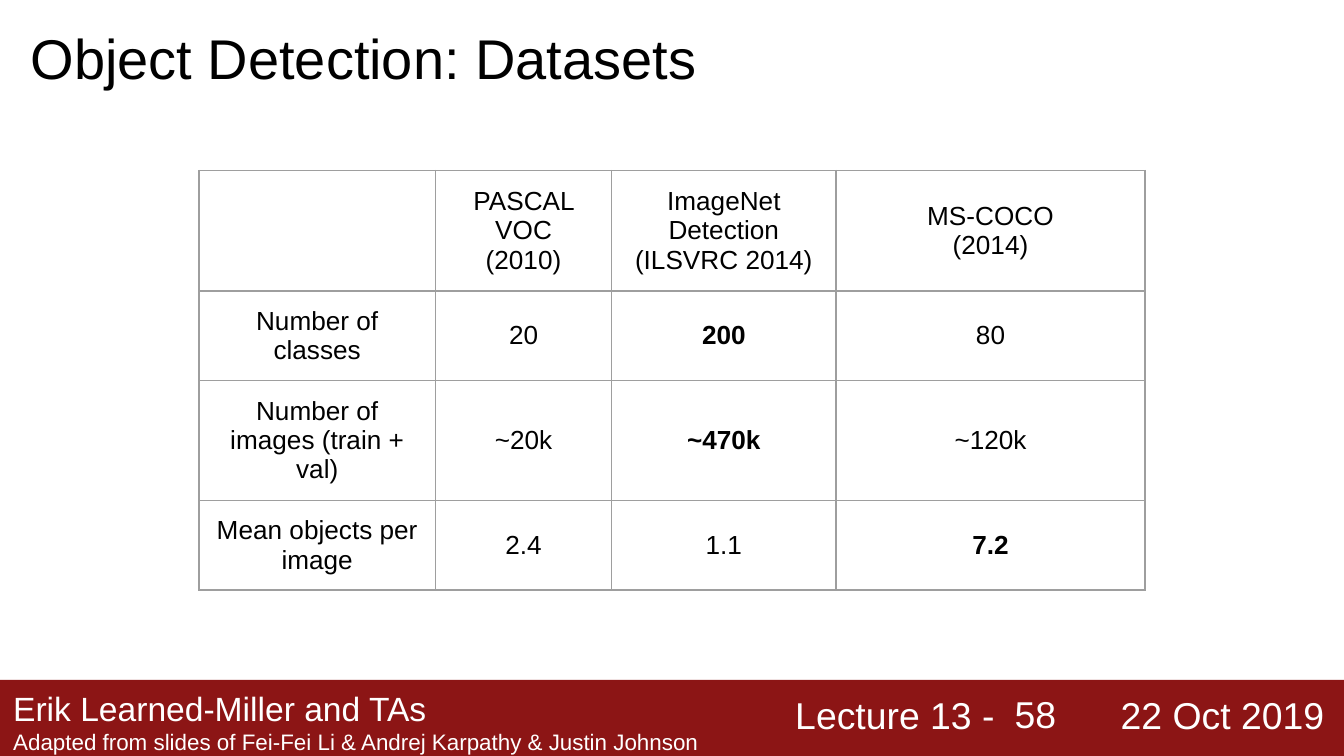
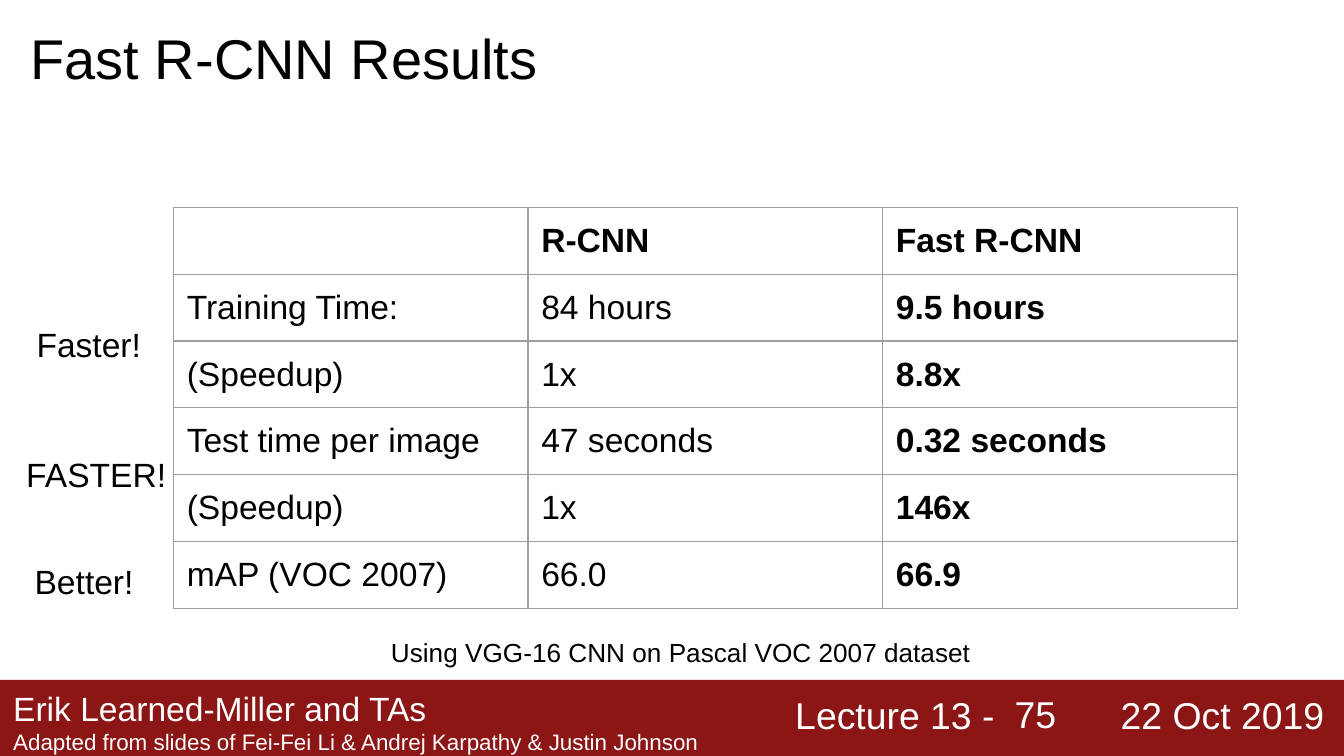
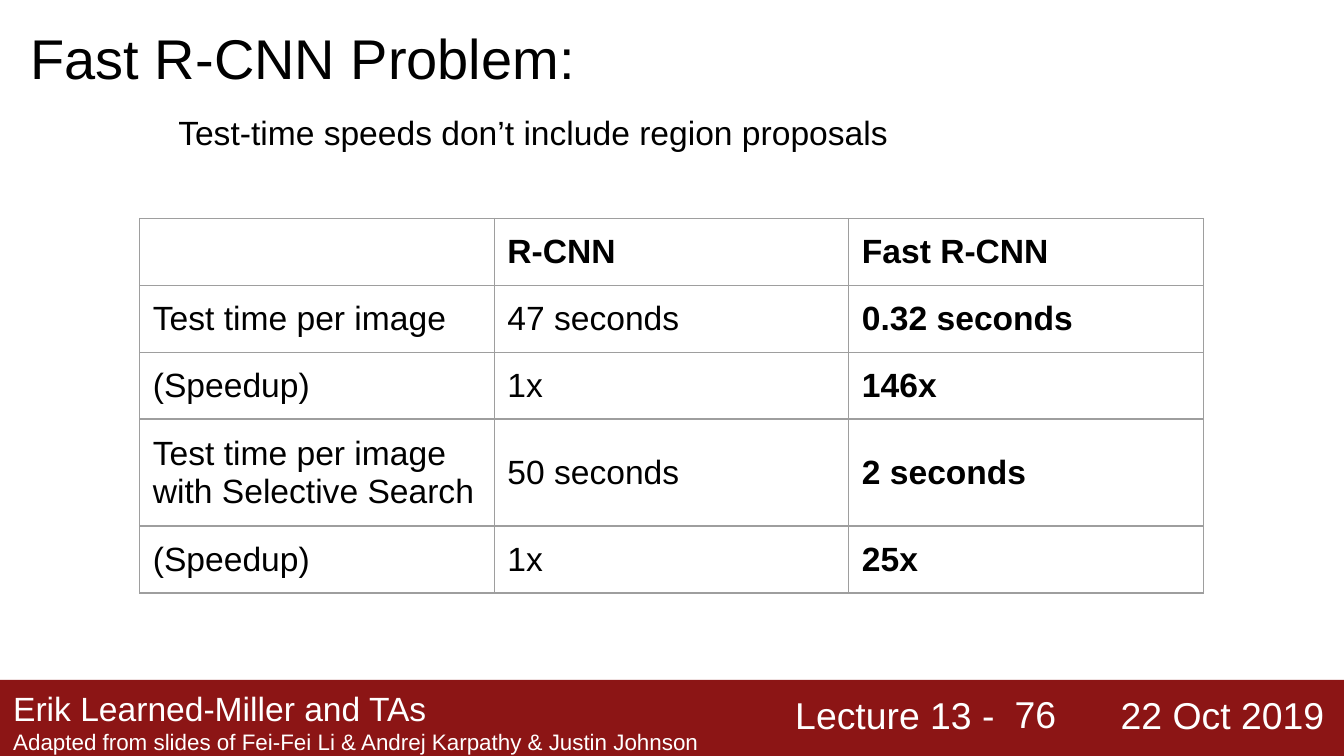
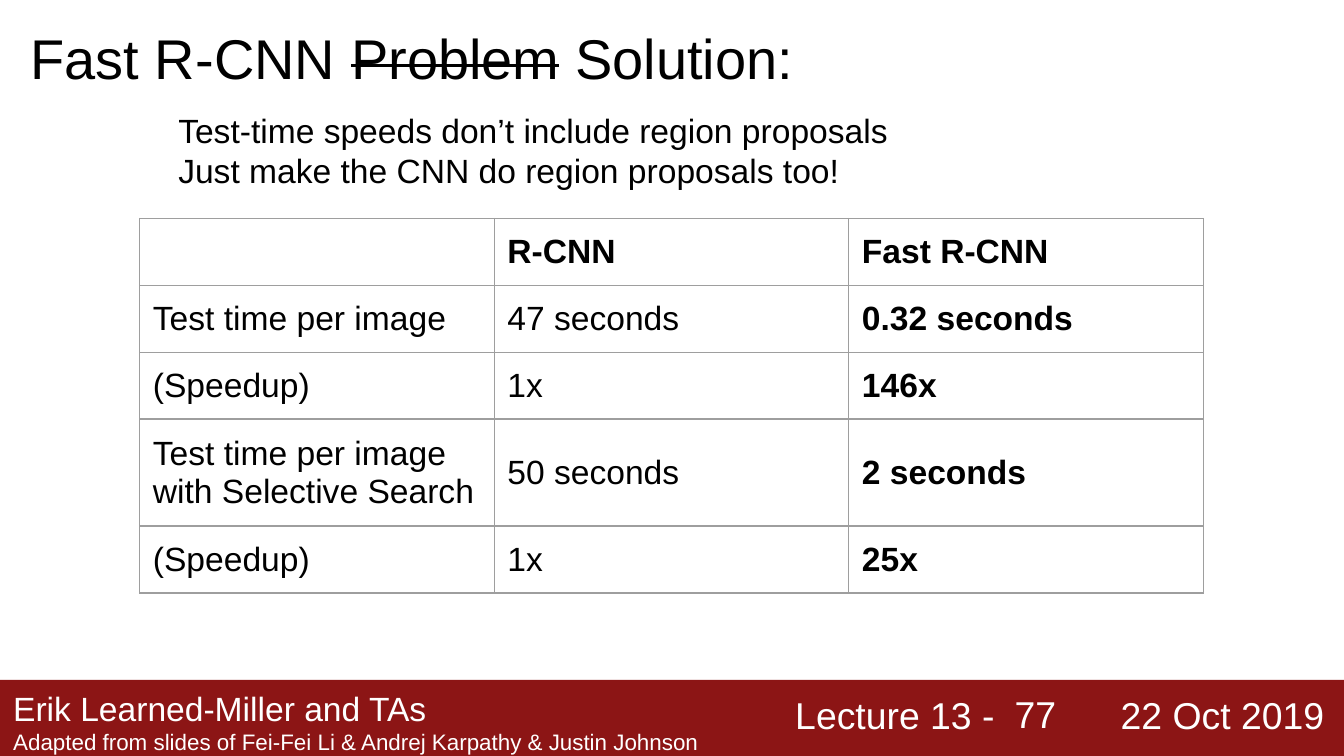
from copy import deepcopy

from lxml.etree import SubElement
from pptx import Presentation
from pptx.dml.color import RGBColor
from pptx.enum.shapes import MSO_SHAPE
from pptx.enum.text import MSO_ANCHOR, MSO_AUTO_SIZE, PP_ALIGN
from pptx.oxml.ns import qn
from pptx.util import Cm, Pt

COLOURS = {"paper": "FFFFFF", "ink": "000000", "band": "8C1515", "grid": "9E9E9E"}
FONT = "Arial"
INSET = Cm(0.25)
PAGE_WIDTH, PAGE_HEIGHT = 25.4, 14.29
BAND_TOP = 12.85
TITLE_BOX = (0.33, 0.2, 21.39, 1.75)
SPEED_COLUMNS = [6.7] * 3
SPEED_ROW = 1.22

DATASET_ROWS = [
    ["", "PASCAL VOC\v(2010)", "ImageNet Detection\n(ILSVRC 2014)", "MS-COCO\v(2014)"],
    ["Number of classes", "20", "200", "80"],
    ["Number of images (train + val)", "~20k", "~470k", "~120k"],
    ["Mean objects per image", "2.4", "1.1", "7.2"],
]
DATASET_WINNERS = {(1, 2), (2, 2), (3, 3)}

SPEED_HEADER = ["", "R-CNN", "Fast R-CNN"]
TEST_TIME_ROWS = [
    ["Test time per image", "47 seconds", "0.32 seconds"],
    ["(Speedup)", "1x", "146x"],
]
RESULT_ROWS = [
    SPEED_HEADER,
    ["Training Time:", "84 hours", "9.5 hours"],
    ["(Speedup)", "1x", "8.8x"],
    *TEST_TIME_ROWS,
    ["mAP (VOC 2007)", "66.0", "66.9"],
]
PROPOSAL_ROWS = [
    SPEED_HEADER,
    *TEST_TIME_ROWS,
    ["Test time per image\nwith Selective Search", "50 seconds", "2 seconds"],
    ["(Speedup)", "1x", "25x"],
]


def colour(name):
    return RGBColor.from_string(COLOURS[name])


def add_span(para, text, size, ink="ink", bold=False, strike=False):
    span = para.add_run()
    span.text = text
    span.font.name = FONT
    span.font.size = Pt(size)
    span.font.bold = bold
    span.font.color.rgb = colour(ink)
    if strike:
        span.font._element.set("strike", "sngStrike")
    return span


def break_line(para, span):
    """Add a line break that keeps the format of the span before it."""
    para.add_line_break()
    para._p[-1].append(deepcopy(span.font._element))


def write(frame, text, size, align=PP_ALIGN.LEFT, ink="ink", bold=False):
    """Fill a frame; a newline starts a paragraph, a vertical tab a line."""
    for number, block in enumerate(text.split("\n")):
        para = frame.add_paragraph() if number else frame.paragraphs[0]
        para.alignment = align
        span = None
        for line in block.split("\v"):
            if span:
                break_line(para, span)
            span = add_span(para, line, size, ink, bold)


def set_insets(target):
    target.margin_left = target.margin_right = INSET
    target.margin_top = target.margin_bottom = INSET


def add_text_box(page, box, anchor=MSO_ANCHOR.TOP):
    frame = page.shapes.add_textbox(*map(Cm, box)).text_frame
    frame.word_wrap = True
    frame.vertical_anchor = anchor
    set_insets(frame)
    return frame


def add_title(page, spans):
    """Place the title; spans are (text, struck through) pairs."""
    title = page.shapes.title
    title.left, title.top, title.width, title.height = map(Cm, TITLE_BOX)
    frame = title.text_frame
    frame.auto_size = MSO_AUTO_SIZE.NONE
    frame.vertical_anchor = MSO_ANCHOR.TOP
    set_insets(frame)
    para = frame.paragraphs[0]
    para.alignment = PP_ALIGN.LEFT
    for text, strike in spans:
        add_span(para, text, 30, strike=strike)


def add_footer(page, number):
    band = page.shapes.add_shape(
        MSO_SHAPE.RECTANGLE, 0, Cm(BAND_TOP), Cm(PAGE_WIDTH), Cm(PAGE_HEIGHT - BAND_TOP))
    band.shadow.inherit = False
    band.fill.solid()
    band.fill.fore_color.rgb = colour("band")
    band.line.fill.background()

    for text, left, width in [("Lecture 13 -", 14.78, 9.73), ("22 Oct 2019", 20.93, 4.47)]:
        frame = add_text_box(page, (left, BAND_TOP - 0.02, width, 1.46))
        write(frame, text, 20, ink="paper")

    credit = add_text_box(page, (0, BAND_TOP - 0.1, 14.58, 1.5)).paragraphs[0]
    names = add_span(credit, "Erik Learned-Miller and TAs", 18, "paper")
    break_line(credit, names)
    add_span(credit, "Adapted from slides of Fei-Fei Li & Andrej Karpathy & Justin Johnson",
             12, "paper")

    frame = add_text_box(page, (18.69, BAND_TOP + 0.1, 1.52, 1.09), MSO_ANCHOR.MIDDLE)
    write(frame, str(number), 20, PP_ALIGN.RIGHT, "paper")


def add_borders(cell):
    properties = cell._tc.get_or_add_tcPr()
    for position, side in enumerate(("a:lnL", "a:lnR", "a:lnT", "a:lnB")):
        line = properties.makeelement(qn(side), {"w": str(Pt(0.75))})
        fill = SubElement(line, qn("a:solidFill"))
        SubElement(fill, qn("a:srgbClr"), val=COLOURS["grid"])
        properties.insert(position, line)


def add_grid(page, corner, rows, widths, heights, size, is_bold, align=PP_ALIGN.LEFT):
    """Draw a bordered table; is_bold(row, column) picks the bold cells."""
    left, top = corner
    table = page.shapes.add_table(
        len(rows), len(widths), Cm(left), Cm(top), Cm(sum(widths)), Cm(sum(heights))).table
    table.first_row = table.horz_banding = False
    for column, width in zip(table.columns, widths):
        column.width = Cm(width)
    for row, height in zip(table.rows, heights):
        row.height = Cm(height)
    for row, texts in enumerate(rows):
        for column, text in enumerate(texts):
            cell = table.cell(row, column)
            cell.fill.background()
            cell.vertical_anchor = MSO_ANCHOR.MIDDLE
            set_insets(cell)
            add_borders(cell)
            if text:
                write(cell.text_frame, text, size, align, bold=is_bold(row, column))


def add_speed_table(page, corner, rows, heights):
    add_grid(page, corner, rows, SPEED_COLUMNS, heights, 18,
             lambda row, column: row == 0 or column == 2)


def add_page(deck, number, *title_spans):
    page = deck.slides.add_slide(deck.slide_layouts[5])
    page.background.fill.solid()
    page.background.fill.fore_color.rgb = colour("paper")
    add_footer(page, number)
    add_title(page, title_spans)
    return page


def add_datasets_page(deck):
    page = add_page(deck, 58, ("Object Detection: Datasets", False))
    add_grid(page, (3.76, 3.22), DATASET_ROWS, [4.47, 3.33, 4.24, 5.84],
             [2.17, 1.61, 2.17, 1.61], 14,
             lambda row, column: (row, column) in DATASET_WINNERS, PP_ALIGN.CENTER)


def add_results_page(deck):
    page = add_page(deck, 75, ("Fast R-CNN Results", False))
    add_speed_table(page, (3.28, 3.92), RESULT_ROWS, [SPEED_ROW] * len(RESULT_ROWS))
    note = add_text_box(page, (7.14, 11.79, 12.17, 1.09), MSO_ANCHOR.MIDDLE)
    write(note, "Using VGG-16 CNN on Pascal VOC 2007 dataset", 14)
    for text, left, top, width in [("Faster!", 0.23, 5.87, 2.9),
                                   ("FASTER!", 0.23, 8.33, 3.18),
                                   ("Better!", 0, 10.36, 3.18)]:
        write(add_text_box(page, (left, top, width, 1.19)), text, 18, PP_ALIGN.CENTER)


def add_proposals_page(deck, number, title_spans, remark, remark_height):
    page = add_page(deck, number, *title_spans)
    heights = [1.93 if "\n" in row[0] else SPEED_ROW for row in PROPOSAL_ROWS]
    add_speed_table(page, (2.64, 4.13), PROPOSAL_ROWS, heights)
    frame = add_text_box(page, (3.12, 1.96, 16.46, remark_height), MSO_ANCHOR.MIDDLE)
    write(frame, remark, 18)


def main():
    deck = Presentation()
    deck.slide_width, deck.slide_height = Cm(PAGE_WIDTH), Cm(PAGE_HEIGHT)
    add_datasets_page(deck)
    add_results_page(deck)
    problem = "Test-time speeds don’t include region proposals"
    add_proposals_page(deck, 76, [("Fast R-CNN Problem:", False)], problem, 1.09)
    add_proposals_page(
        deck, 77, [("Fast R-CNN ", False), ("Problem", True), (" Solution:", False)],
        problem + "\vJust make the CNN do region proposals too!", 1.75)
    deck.save("out.pptx")


if __name__ == "__main__":
    main()
